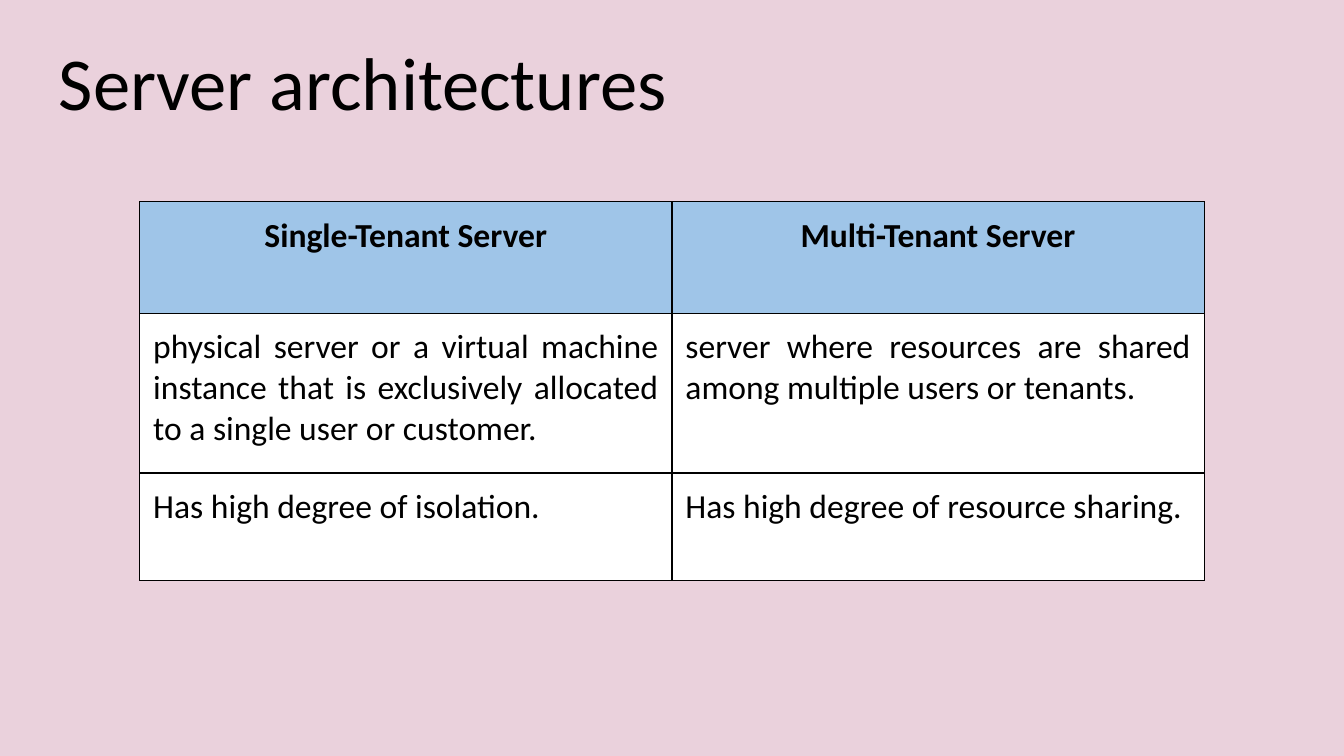
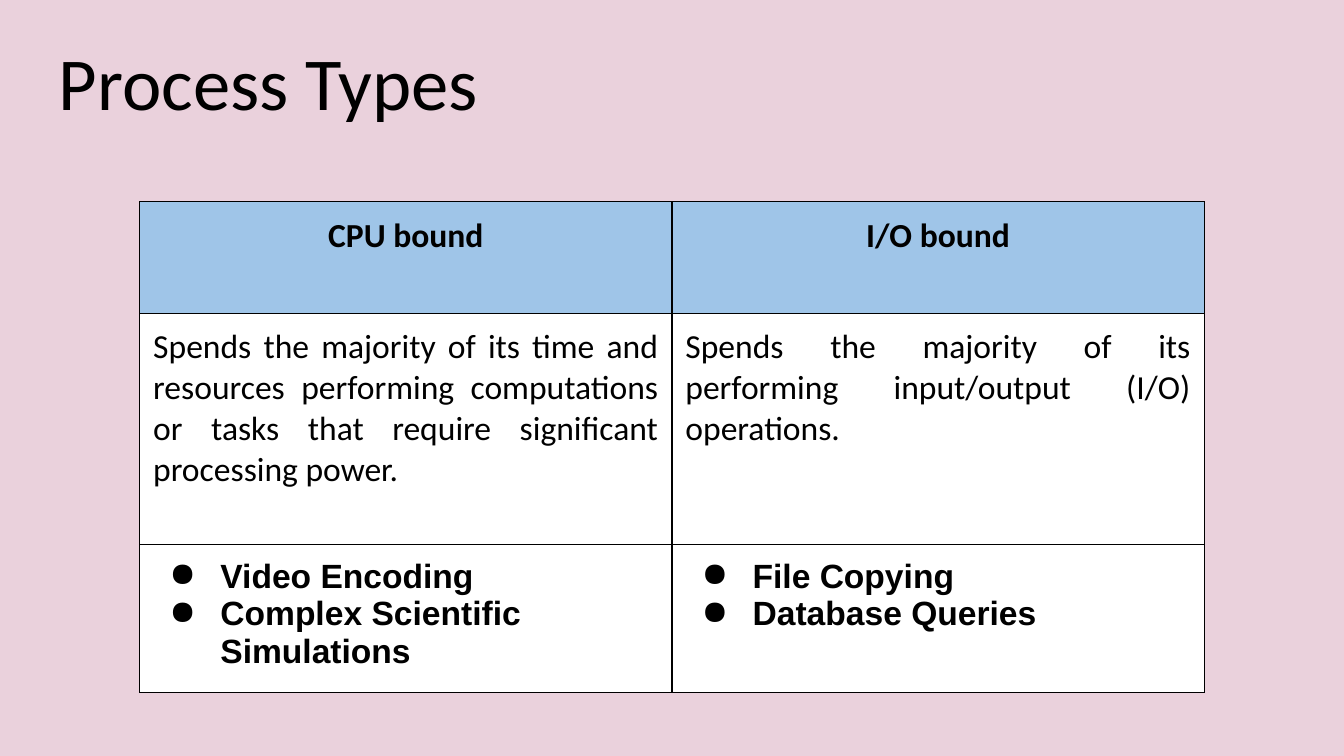
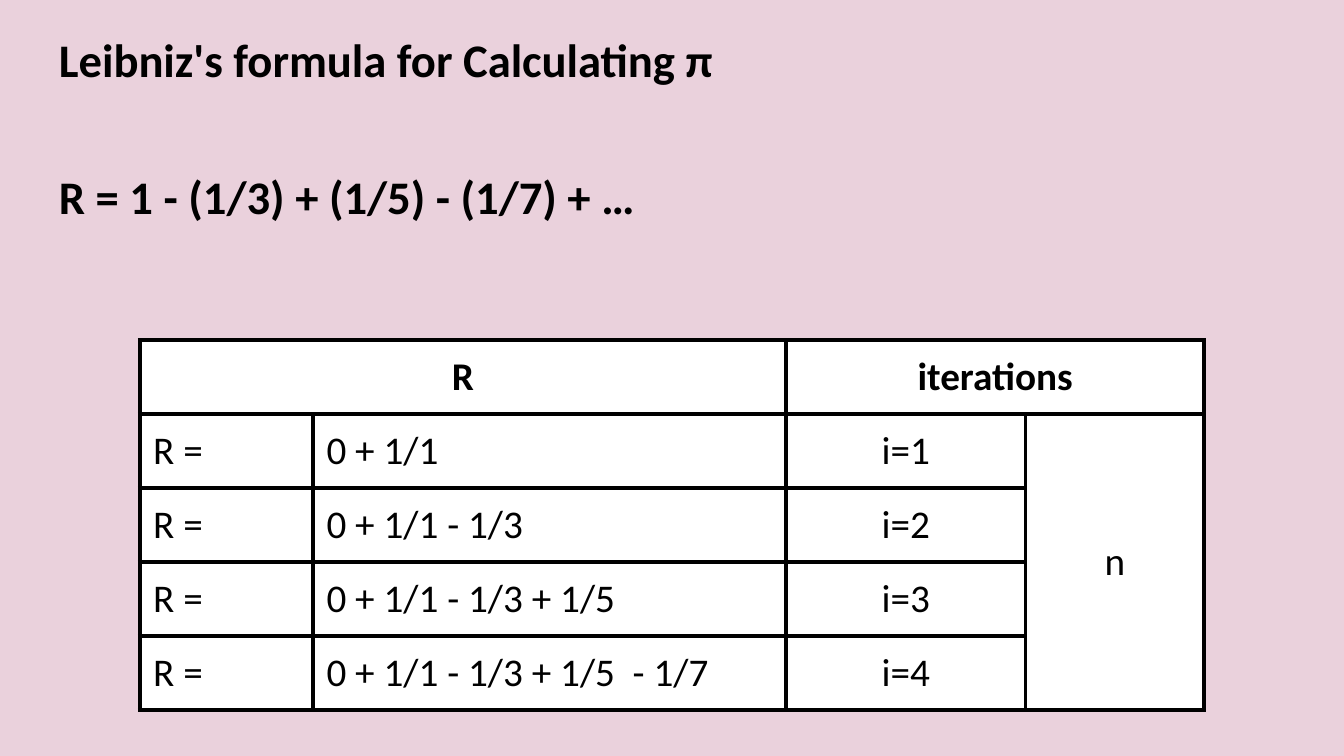
from pptx import Presentation
from pptx.dml.color import RGBColor
from pptx.enum.text import MSO_ANCHOR, PP_ALIGN
from pptx.oxml import parse_xml
from pptx.oxml.ns import nsdecls
from pptx.util import Inches, Pt

LEFT, CENTER, JUSTIFY = PP_ALIGN.LEFT, PP_ALIGN.CENTER, PP_ALIGN.JUSTIFY
TOP, MIDDLE, BOTTOM = MSO_ANCHOR.TOP, MSO_ANCHOR.MIDDLE, MSO_ANCHOR.BOTTOM

COLORS = {"page": "EAD1DC", "head": "9FC5E8", "cell": "FFFFFF", "ink": "000000"}
WIDTH, HEIGHT = Inches(10), Inches(10) * 9 // 16
COLUMNS = 100  # the grid is square: one row is as high as one column is wide
MARGIN, TABLE_LEFT = 3.4, 10.4

# Cell styles; whatever a style leaves out comes from "plain"
STYLES = {
    "plain": {"align": LEFT, "anchor": TOP, "fill": "cell", "bold": False, "font": "Calibri"},
    "head": {"align": CENTER, "fill": "head", "bold": True},
    "label": {"align": CENTER, "bold": True},
    "center": {"align": CENTER, "anchor": MIDDLE},
    "justified": {"align": JUSTIFY},
    "bullets": {"bold": True, "font": "Arial", "bullet": "●"},
}


def grid(n):
    return round(WIDTH * n / COLUMNS)


class Deck:
    def __init__(self):
        self.prs = Presentation()
        self.prs.slide_width, self.prs.slide_height = WIDTH, HEIGHT
        self.slide = None

    def new_slide(self):
        self.slide = self.prs.slides.add_slide(self.prs.slide_layouts[6])
        self.fill(self.slide.background.fill, "page")

    def fill(self, fill, color):
        fill.solid()
        fill.fore_color.rgb = RGBColor.from_string(COLORS[color])

    def add_lines(self, tf, lines, size, font="Calibri", bold=False, align=LEFT, bullet=None):
        for i, line in enumerate(lines):
            p = tf.paragraphs[0] if i == 0 else tf.add_paragraph()
            p.alignment = align
            r = p.add_run()
            r.text = line
            for name, value in {"name": font, "size": Pt(size), "bold": bold}.items():
                setattr(r.font, name, value)
            r.font.color.rgb = RGBColor.from_string(COLORS["ink"])
            if bullet:
                self.bullet(p, bullet)

    def bullet(self, p, char):
        pPr = p._p.get_or_add_pPr()
        pPr.set("marL", str(grid(5)))
        pPr.set("indent", str(grid(-3.8)))
        pPr.append(parse_xml(f'<a:buClr {nsdecls("a")}><a:srgbClr val="{COLORS["ink"]}"/></a:buClr>'))
        pPr.append(parse_xml(f'<a:buChar {nsdecls("a")} char="{char}"/>'))

    def pad(self, box):
        for side in ("left", "top", "right", "bottom"):
            setattr(box, f"margin_{side}", grid(1))

    def text(self, text, top, width, height, size, bold=False, anchor=TOP):
        box = self.slide.shapes.add_textbox(*map(grid, (MARGIN, top, width, height)))
        tf = box.text_frame
        tf.word_wrap, tf.vertical_anchor = True, anchor
        self.pad(tf)
        self.add_lines(tf, [text], size, bold=bold)

    def title(self, text):
        self.text(text, 1.6, 93.2, 8.7, 40, anchor=BOTTOM)

    def formula(self, text, top):
        self.text(text, top, 73.9, 7.1, 25, bold=True)

    def borders(self, cell, weight):
        for side in "LRTB":
            cell._tc.get_or_add_tcPr().append(parse_xml(
                f'<a:ln{side} {nsdecls("a")} w="{Pt(weight)}"><a:solidFill>'
                f'<a:srgbClr val="{COLORS["ink"]}"/></a:solidFill></a:ln{side}>'))

    def table(self, top, widths, heights, cells, size, weight, merges=()):
        """Each cell is (style, line, ...), or None where a merge covers it."""
        frame = self.slide.shapes.add_table(
            len(heights), len(widths), *map(grid, (TABLE_LEFT, top, sum(widths), sum(heights))))
        table = frame.table
        table.first_row = table.horz_banding = False
        for column, width in zip(table.columns, widths):
            column.width = grid(width)
        for row, height in zip(table.rows, heights):
            row.height = grid(height)
        for first, last in merges:
            table.cell(*first).merge(table.cell(*last))
        for y, row in enumerate(cells):
            for x, content in enumerate(row):
                cell = table.cell(y, x)
                style, *lines = content or ("plain",)
                look = {**STYLES["plain"], **STYLES[style]}
                self.borders(cell, weight)
                self.fill(cell.fill, look.pop("fill"))
                self.pad(cell)
                cell.vertical_anchor = look.pop("anchor")
                self.add_lines(cell.text_frame, lines, size, **look)

    def comparison(self, title, heads, texts, last_row, text_height):
        self.new_slide()
        self.title(title)
        cells = [[("head", h) for h in heads], [("justified", t) for t in texts], last_row]
        self.table(15, [39.6] * 2, [8.3, text_height, 8], cells, 18, 0.75)


def main():
    deck = Deck()

    # Server architectures
    deck.comparison(
        "Server architectures",
        ["Single-Tenant Server", "Multi-Tenant Server"],
        ["physical server or a virtual machine instance that is exclusively allocated "
         "to a single user or customer.",
         "server where resources are shared among multiple users or tenants."],
        [("plain", "Has high degree of isolation."),
         ("plain", "Has high degree of resource sharing.")],
        11.9)

    # Process types
    deck.comparison(
        "Process Types",
        ["CPU bound", "I/O bound"],
        ["Spends the majority of its time and resources performing computations or tasks "
         "that require significant processing power.",
         "Spends the majority of its performing input/output (I/O) operations."],
        [("bullets", "Video Encoding", "Complex Scientific Simulations"),
         ("bullets", "File Copying", "Database Queries")],
        17.2)

    # Leibniz's formula
    deck.new_slide()
    deck.formula("Leibniz's formula for Calculating π", 1.3)
    deck.formula("R = 1 - (1/3) + (1/5) - (1/7) + …", 11.5)
    sums = ["0 + 1/1", "0 + 1/1 - 1/3", "0 + 1/1 - 1/3 + 1/5", "0 + 1/1 - 1/3 + 1/5  - 1/7"]
    cells = [[("label", "R"), None, ("label", "iterations"), None]]
    for i, total in enumerate(sums, 1):
        cells.append([("plain", "R ="), ("plain", total), ("center", f"i={i}"),
                      ("center", "n") if i == 1 else None])
    deck.table(25.3, [12.9, 35.2, 17.8, 13.3], [4.2] * len(cells), cells, 21, 2.25,
               merges=[((0, 0), (0, 1)), ((0, 2), (0, 3)), ((1, 3), (4, 3))])

    deck.prs.save("out.pptx")


if __name__ == "__main__":
    main()
